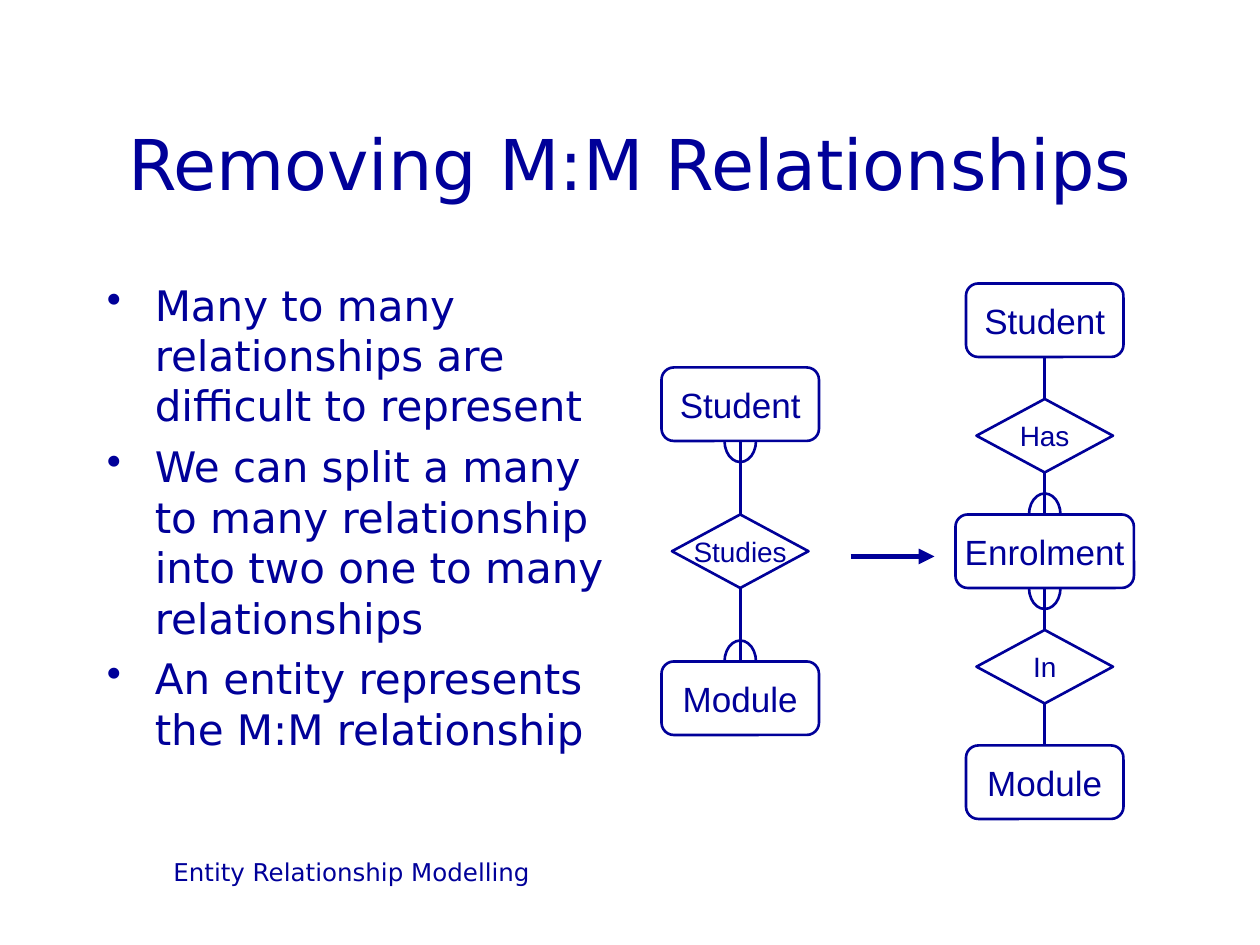
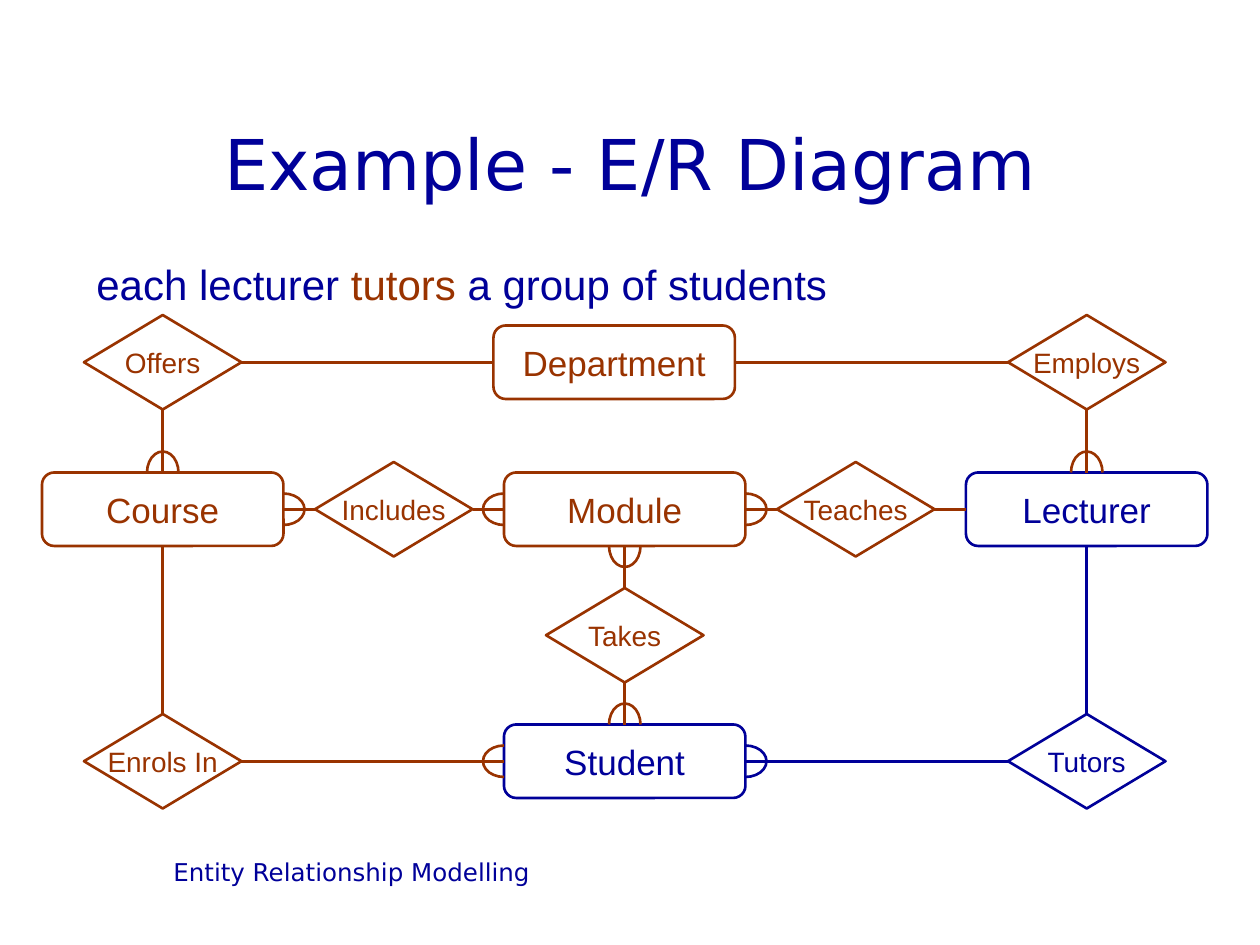
"""Build two slides on removing many-to-many relationships in E/R models."""
import pptx
import pptx.util
import pptx.dml.color
import pptx.enum.shapes
import pptx.enum.text
import pptx.oxml
import pptx.oxml.ns

COLUMNS, ROWS = 120, 90
CELL = pptx.util.Inches(10) // COLUMNS
NAVY, RUST = "000099", "993300"
HEADING_FONT, DIAGRAM_FONT = "DejaVu Sans", "Arial"
TOP, LEFT, BOTTOM, RIGHT = range(4)
SHAPES = pptx.enum.shapes.MSO_SHAPE
ALIGN = pptx.enum.text.PP_ALIGN
ANCHOR = pptx.enum.text.MSO_ANCHOR


def ink(hex_code):
    """Turn a hex string into a colour."""
    return pptx.dml.color.RGBColor.from_string(hex_code)


def cells(*counts):
    """Turn grid counts into lengths."""
    return [pptx.util.Emu(round(count * CELL)) for count in counts]


def add_xml(parent, tag, inner="", **attributes):
    """Append a drawing element to a parent element."""
    listed = " ".join(f'{key}="{value}"' for key, value in attributes.items())
    namespace = pptx.oxml.ns.nsdecls("a")
    parent.append(pptx.oxml.parse_xml(f"<a:{tag} {namespace} {listed}>{inner}</a:{tag}>"))


def write(paragraph, text, size=24, color=NAVY, font=HEADING_FONT,
          align=ALIGN.LEFT, before=0, bullet=False):
    """Format a paragraph and add one run of text to it."""
    paragraph.alignment = align
    paragraph.space_before = pptx.util.Pt(before)
    if bullet:
        properties = paragraph._p.get_or_add_pPr()
        hanging = pptx.util.Inches(0.38)
        properties.set("marL", str(hanging))
        properties.set("indent", str(-hanging))
        add_xml(properties, "buClr", f'<a:srgbClr val="{color}"/>')
        add_xml(properties, "buChar", char="•")
    run = paragraph.add_run()
    run.text = text
    run.font.size = pptx.util.Pt(size)
    run.font.name = font
    run.font.color.rgb = ink(color)


def add_frame(slide, left, top, width, height, anchor=ANCHOR.TOP):
    """Add a wrapping text box on the grid and return its text frame."""
    frame = slide.shapes.add_textbox(*cells(left, top, width, height)).text_frame
    frame.word_wrap = True
    frame.vertical_anchor = anchor
    return frame


def add_page(deck, title):
    """Add a blank slide with the shared title and footer."""
    slide = deck.slides.add_slide(deck.slide_layouts[6])
    footer = add_frame(slide, 9, 81, 49, 6)
    write(footer.paragraphs[0], "Entity Relationship Modelling", size=14, align=ALIGN.CENTER)
    heading = add_frame(slide, 9, 8, 102, 15, ANCHOR.MIDDLE)
    write(heading.paragraphs[0], title, size=40, align=ALIGN.CENTER)
    return slide


def add_outline(slide, kind, center_x, center_y, width, height, color):
    """Add an unfilled preset shape around a centre on the grid."""
    box = cells(center_x - width / 2, center_y - height / 2, width, height)
    outline = slide.shapes.add_shape(kind, *box)
    outline.shadow.inherit = False
    outline.fill.background()
    outline.line.color.rgb = ink(color)
    outline.line.width = pptx.util.Pt(1.5)
    return outline


def add_node(slide, kind, label, center, size, color, text_size):
    """Add a labelled diagram node."""
    node = add_outline(slide, kind, *center, *size, color)
    node.text_frame.word_wrap = False
    node.text_frame.vertical_anchor = ANCHOR.MIDDLE
    write(node.text_frame.paragraphs[0], label, size=text_size, color=color,
          font=DIAGRAM_FONT, align=ALIGN.CENTER)
    return node


def add_entity(slide, label, center, width, color=NAVY):
    """Add an entity as a rounded box."""
    return add_node(slide, SHAPES.ROUNDED_RECTANGLE, label, center, (width, 7), color, 20)


def add_relation(slide, label, center, size, color=NAVY):
    """Add a relationship as a diamond."""
    return add_node(slide, SHAPES.DIAMOND, label, center, size, color, 16)


def add_line(slide, start=(0, 0), end=(0, 0), color=NAVY, width=1.5):
    """Add a straight line without a shadow."""
    straight = pptx.enum.shapes.MSO_CONNECTOR.STRAIGHT
    line = slide.shapes.add_connector(straight, *cells(*start, *end))
    line.line.color.rgb = ink(color)
    line.line.width = pptx.util.Pt(width)
    add_xml(line._element.spPr, "effectLst")
    return line


def link(slide, entity, side, relation, many=True):
    """Join an entity to a relationship, with a half loop for the many end."""
    color = str(relation.line.color.rgb)
    line = add_line(slide, color=color)
    line.begin_connect(entity, side)
    line.end_connect(relation, (side + 2) % 4)
    if many:
        size = (3, 4) if side in (TOP, BOTTOM) else (4, 3)
        loop = add_outline(slide, SHAPES.ARC, line.begin_x / CELL, line.begin_y / CELL,
                           *size, color)
        start = (180 - 90 * side) % 360
        for index, degrees in enumerate((start, (start + 180) % 360)):
            loop.adjustments[index] = degrees * 0.6


def build_removal(deck):
    """Show a many-to-many relationship split by a new entity."""
    slide = add_page(deck, "Removing M:M Relationships")
    points = ["Many to many relationships are difficult to represent",
              "We can split a many to many relationship into two one to many relationships",
              "An entity represents the M:M relationship"]
    body = add_frame(slide, 9, 26, 50, 54)
    for index, point in enumerate(points):
        paragraph = body.add_paragraph() if index else body.paragraphs[0]
        write(paragraph, point, before=6, bullet=True)

    before_x, after_x, diamond = 70.5, 99.5, (13, 7)
    student = add_entity(slide, "Student", (before_x, 38.5), 15)
    module = add_entity(slide, "Module", (before_x, 66.5), 15)
    studies = add_relation(slide, "Studies", (before_x, 52.5), diamond)
    link(slide, student, BOTTOM, studies)
    link(slide, module, TOP, studies)

    student, has, enrolment, within, module = [
        (label, (after_x, 30.5 + 11 * step))
        for step, label in enumerate(("Student", "Has", "Enrolment", "In", "Module"))]
    student = add_entity(slide, *student, 15)
    enrolment = add_entity(slide, *enrolment, 17)
    module = add_entity(slide, *module, 15)
    has = add_relation(slide, *has, diamond)
    within = add_relation(slide, *within, diamond)
    link(slide, student, BOTTOM, has, many=False)
    link(slide, enrolment, TOP, has)
    link(slide, enrolment, BOTTOM, within)
    link(slide, module, TOP, within, many=False)

    arrow = add_line(slide, (81, 53), (89, 53), width=3)
    add_xml(arrow.line._get_or_add_ln(), "tailEnd", type="triangle")


def build_example(deck):
    """Show the university diagram with its latest relationship in navy."""
    slide = add_page(deck, "Example - E/R Diagram")
    sentence = add_frame(slide, 8, 24, 104, 6).paragraphs[0]
    for words, color in (("each lecturer ", NAVY), ("tutors", RUST),
                         (" a group of students", NAVY)):
        write(sentence, words, color=color, font=DIAGRAM_FONT, before=15)

    left_x, middle_x, right_x = 15.5, 59.5, 103.5
    top_y, center_y, bottom_y = 34.5, 48.5, 72.5
    entities = [("Module", middle_x, center_y, RUST), ("Course", left_x, center_y, RUST),
                ("Department", middle_x - 1, top_y, RUST),
                ("Student", middle_x, bottom_y, NAVY),
                ("Lecturer", right_x, center_y, NAVY)]
    relations = [("Includes", (left_x + middle_x) / 2, center_y, RUST),
                 ("Offers", left_x, top_y, RUST), ("Tutors", right_x, bottom_y, NAVY),
                 ("Enrols In", left_x, bottom_y, RUST),
                 ("Takes", middle_x, (center_y + bottom_y) / 2, RUST),
                 ("Employs", right_x, top_y, RUST),
                 ("Teaches", (middle_x + right_x) / 2, center_y, RUST)]
    nodes = {label: add_entity(slide, label, (x, y), 23, color)
             for label, x, y, color in entities}
    nodes.update({label: add_relation(slide, label, (x, y), (15, 9), color)
                  for label, x, y, color in relations})

    many_ends = [("Course", RIGHT, "Includes"), ("Module", LEFT, "Includes"),
                 ("Module", RIGHT, "Teaches"), ("Lecturer", TOP, "Employs"),
                 ("Course", TOP, "Offers"), ("Student", LEFT, "Enrols In"),
                 ("Student", TOP, "Takes"), ("Module", BOTTOM, "Takes"),
                 ("Student", RIGHT, "Tutors")]
    one_ends = [("Lecturer", LEFT, "Teaches"), ("Department", RIGHT, "Employs"),
                ("Department", LEFT, "Offers"), ("Course", BOTTOM, "Enrols In"),
                ("Lecturer", BOTTOM, "Tutors")]
    for ends, many in ((many_ends, True), (one_ends, False)):
        for entity, side, relation in ends:
            link(slide, nodes[entity], side, nodes[relation], many)


def main():
    """Build and save the deck."""
    deck = pptx.Presentation()
    deck.slide_width, deck.slide_height = cells(COLUMNS, ROWS)
    build_removal(deck)
    build_example(deck)
    deck.save("out.pptx")


if __name__ == "__main__":
    main()
